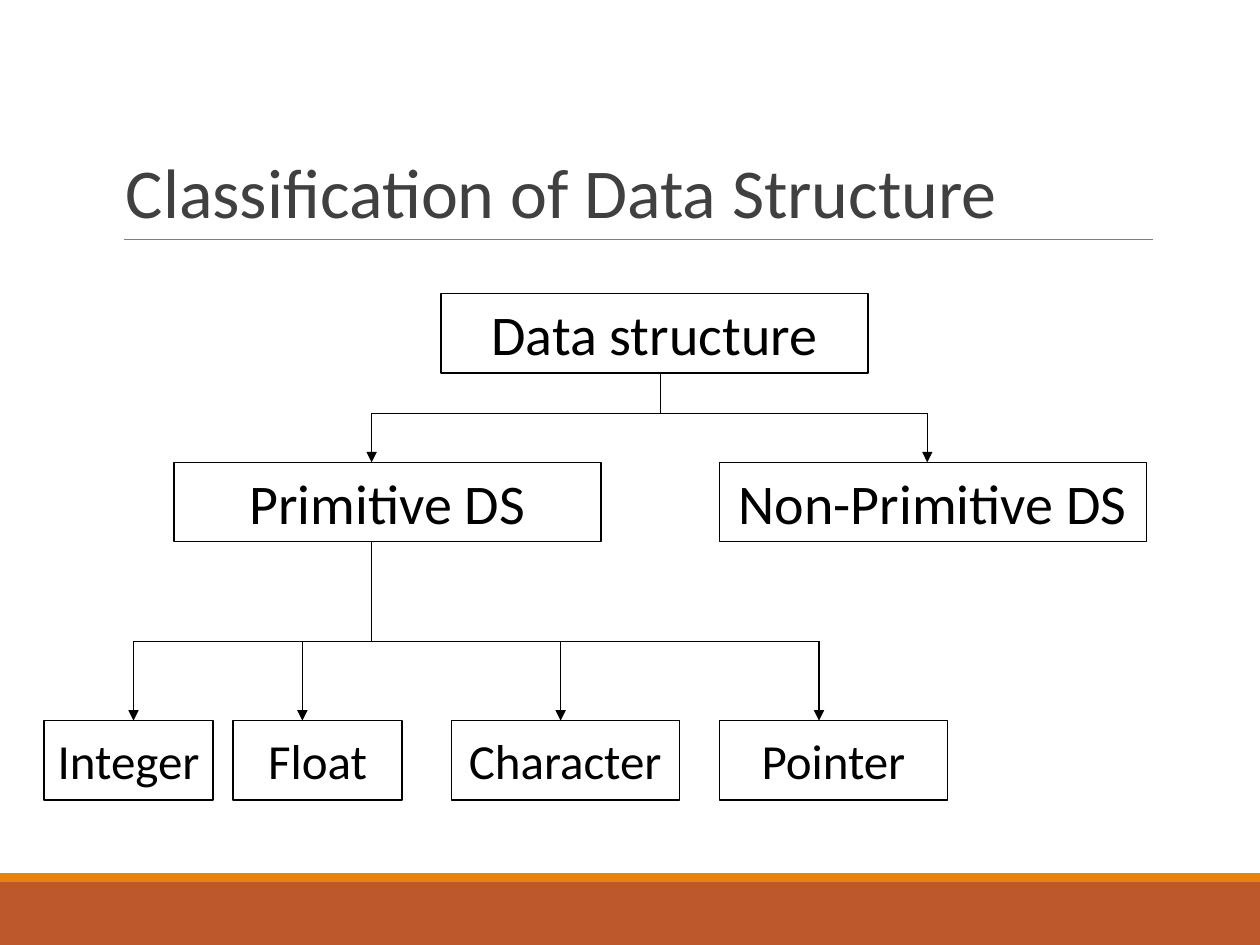
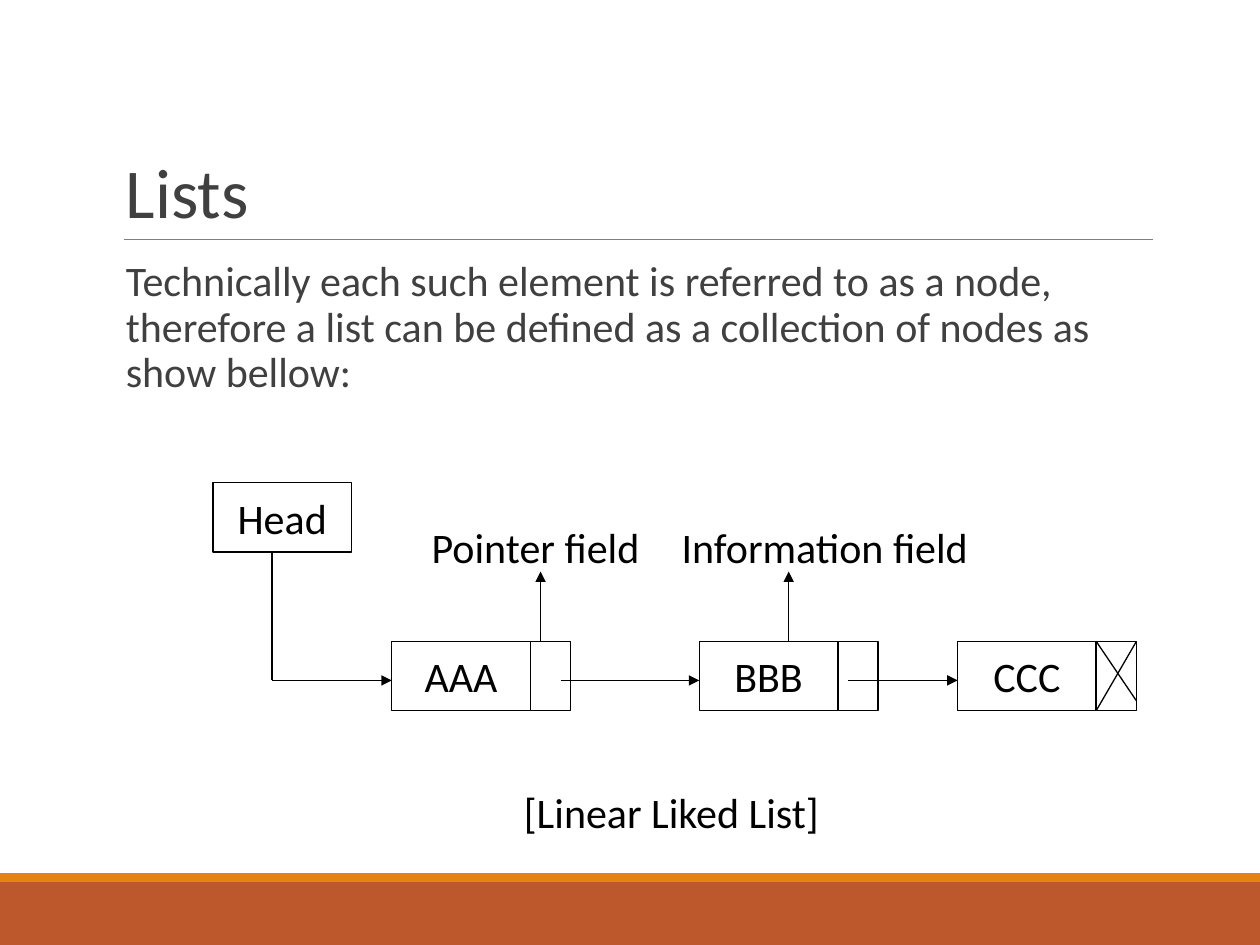
from lxml.etree import SubElement
from pptx import Presentation
from pptx.dml.color import RGBColor
from pptx.enum.shapes import MSO_CONNECTOR, MSO_SHAPE
from pptx.enum.text import MSO_ANCHOR, PP_ALIGN
from pptx.oxml.ns import qn
from pptx.util import Pt

BLACK = RGBColor(0, 0, 0)
WHITE = RGBColor(255, 255, 255)
DARK = RGBColor(0x40, 0x40, 0x40)
GRAY = RGBColor(0x7F, 0x7F, 0x7F)
RUST = RGBColor(0xBD, 0x58, 0x2C)
AMBER = RGBColor(0xE4, 0x83, 0x12)
FONT = "Calibri"
WIDE, HIGH = 720, 540


def write(para, text, size, color):
    run = para.add_run()
    run.text = text
    run.font.name = FONT
    run.font.size = Pt(size)
    run.font.color.rgb = color


def add_text(slide, box, text, size, color, anchor=MSO_ANCHOR.TOP, space=1.0, right=7.2):
    frame = slide.shapes.add_textbox(*map(Pt, box)).text_frame
    frame.word_wrap = True
    frame.vertical_anchor = anchor
    frame.margin_right = Pt(right)
    para = frame.paragraphs[0]
    para.line_spacing = space
    write(para, text, size, color)


def add_rect(slide, box, text="", size=24, fill=WHITE, edge=BLACK):
    rect = slide.shapes.add_shape(MSO_SHAPE.RECTANGLE, *map(Pt, box))
    rect.shadow.inherit = False
    rect.fill.solid()
    rect.fill.fore_color.rgb = fill
    if edge is None:
        rect.line.fill.background()
    else:
        rect.line.color.rgb = edge
        rect.line.width = Pt(0.75)
    if text:
        frame = rect.text_frame
        frame.word_wrap = False
        frame.vertical_anchor = MSO_ANCHOR.MIDDLE
        para = frame.paragraphs[0]
        para.alignment = PP_ALIGN.CENTER
        write(para, text, size, BLACK)


def add_line(slide, x1, y1, x2, y2, arrow=False, color=BLACK):
    line = slide.shapes.add_connector(MSO_CONNECTOR.STRAIGHT, *map(Pt, (x1, y1, x2, y2)))
    line.line.color.rgb = color
    line.line.width = Pt(0.75)
    if arrow:
        SubElement(line.line._get_or_add_ln(), qn("a:tailEnd"), type="triangle")
    SubElement(line._element.spPr, qn("a:effectLst"))


def add_page(deck, title):
    slide = deck.slides.add_slide(deck.slide_layouts[6])
    add_rect(slide, (0, 504, WIDE, 36), fill=RUST, edge=None)
    add_rect(slide, (0, 499, WIDE, 5), fill=AMBER, edge=None)
    add_line(slide, 70.6, 136.8, 658.8, 136.8, color=GRAY)
    add_text(slide, (64.8, 22.3, 594, 114.5), title, 40, DARK, MSO_ANCHOR.BOTTOM, 0.85)
    return slide


def add_fork(slide, stem, top, bar, tips, end):
    add_line(slide, stem, top, stem, bar)
    add_line(slide, tips[0], bar, tips[-1], bar)
    for tip in tips:
        add_line(slide, tip, bar, tip, end, arrow=True)


def add_tree(slide, left, top):
    tall, broad = 45.4, 244
    mid, low = top + 96.4, top + 244
    add_rect(slide, (left + 226.8, top, broad, tall), "Data structure", 32)
    for text, x in (("Primitive DS", 74.2), ("Non-Primitive DS", 385.9)):
        add_rect(slide, (left + x, mid, broad, tall), text, 32)
    leaves = (("Integer", 0, 96.5), ("Float", 108, 96.5),
              ("Character", 232.6, 130.3), ("Pointer", 385.9, 130.3))
    for text, x, width in leaves:
        add_rect(slide, (left + x, low, width, tall), text, 28)
    kinds = [left + x for x in (187.2, 504.7)]
    tips = [left + x for x in (51.1, 147.6, 295.2, 442.8)]
    add_fork(slide, left + 352.1, top + tall, top + 68.4, kinds, mid)
    add_fork(slide, kinds[0], mid + tall, top + 198.7, tips, low)


def add_chain(slide, left, top):
    width, tall, cell = 79.2, 39.6, 23
    row, flow = top + 90.7, top + 113
    add_rect(slide, (left, top, width, tall), "Head")
    nodes = [left + x for x in (102.2, 277.9, 425.5)]
    for text, x in zip(("AAA", "BBB", "CCC"), nodes):
        add_rect(slide, (x, row, width, tall), text)
        add_rect(slide, (x + width, row, cell, tall))
    end = nodes[-1] + width
    add_line(slide, end, row, end + cell, row + 34)
    add_line(slide, end + cell, row, end, row + tall)
    starts = [left + x for x in (33.8, 198.7, 362.9)]
    add_line(slide, starts[0], top + tall, starts[0], flow)
    for start, node in zip(starts, nodes):
        add_line(slide, start, flow, node, flow, arrow=True)
    labels = (("Information field", 247.7, 203.8, 329), ("Pointer field", 102.2, 164.2, 187.2))
    for text, x, span, tip in labels:
        add_rect(slide, (left + x, top + 22.3, span, 28.1), text, edge=WHITE)
        add_line(slide, left + tip, row, left + tip, top + 50.8, arrow=True)
    add_text(slide, (left + 170.6, top + 169.9, 283.7, 36.7), "[Linear Liked List]", 24, BLACK)


def main():
    deck = Presentation()
    deck.slide_width, deck.slide_height = Pt(WIDE), Pt(HIGH)
    add_tree(add_page(deck, "Classification of Data Structure"), 25.2, 167.8)
    lists = add_page(deck, "Lists")
    add_text(lists, (64.8, 145.4, 594, 64.8),
             "Technically each such element is referred to as a node, therefore a list "
             "can be defined as a collection of nodes as show bellow:",
             24, DARK, space=0.9, right=0)
    add_chain(lists, 121.7, 275.8)
    deck.save("out.pptx")


if __name__ == "__main__":
    main()
